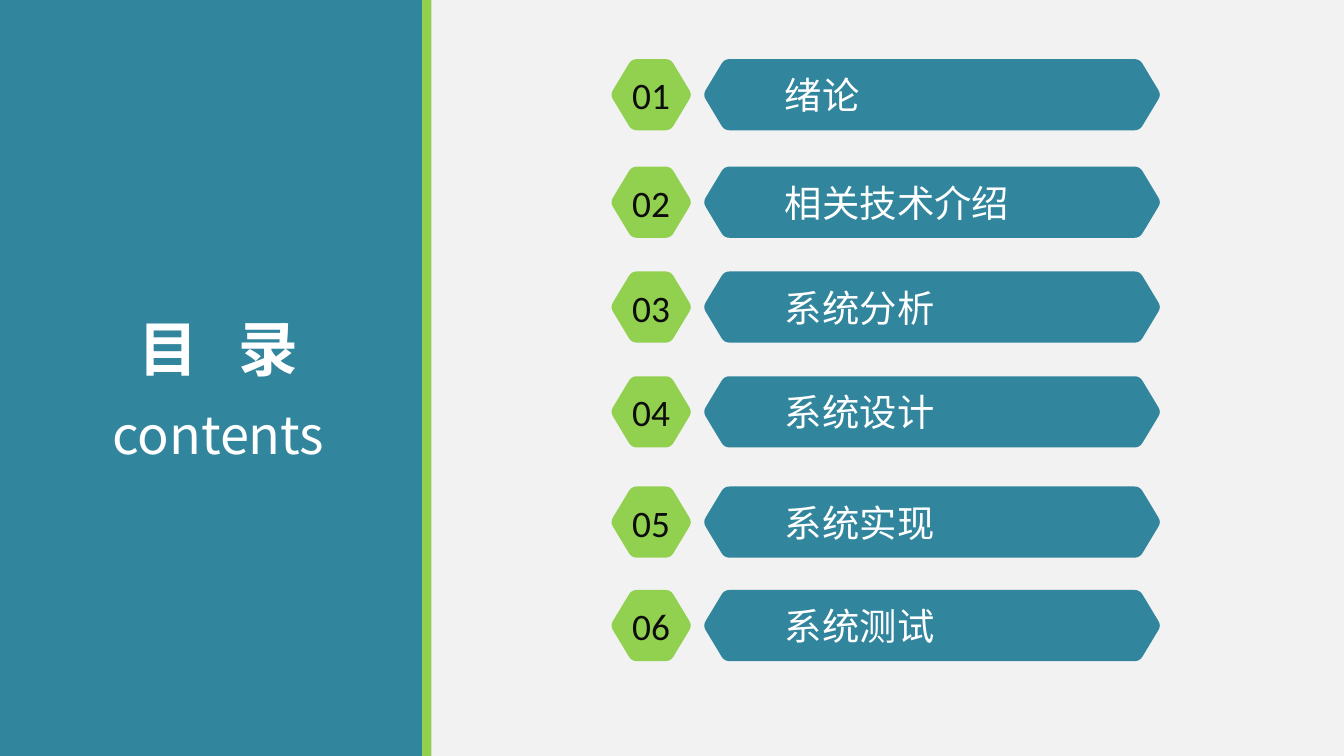
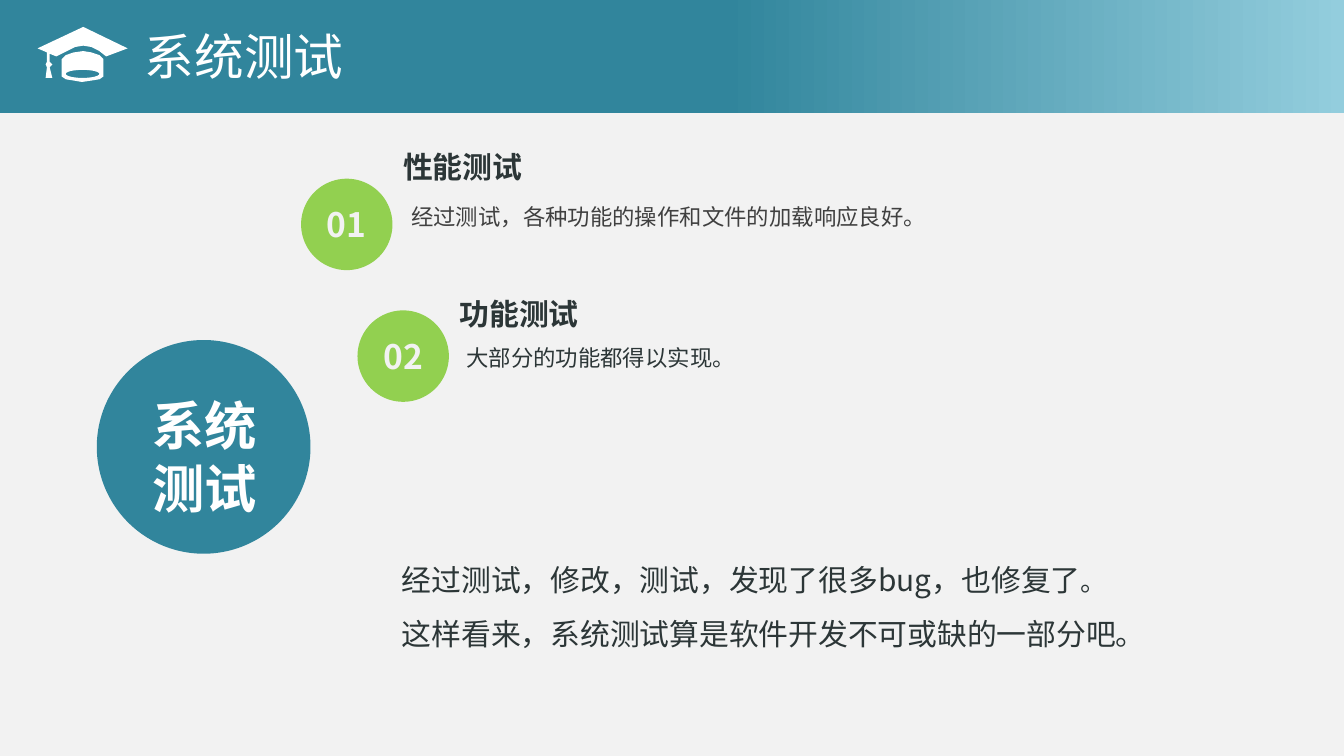
"""Build a contents slide and a system-testing slide with a shared style."""
from math import cos, pi, sin

from lxml import etree
from pptx import Presentation
from pptx.dml.color import RGBColor
from pptx.enum.shapes import MSO_SHAPE as Preset
from pptx.enum.text import MSO_ANCHOR as Anchor, MSO_AUTO_SIZE as AutoSize, PP_ALIGN as Align
from pptx.oxml.ns import qn
from pptx.util import Inches, Pt

TEAL, GREEN, PALE, WHITE = "31859C", "92D050", "F2F2F2", "FFFFFF"
INK, BLACK, GREY, SKY = "2C3637", "0D0D0D", "404040", "93CDDD"
SANS, DIGITS = "Noto Sans CJK SC", "Calibri"
TIGHT = (0.07, 0.04, 0.07, 0.04)


def paint(shape, color):
    shape.shadow.inherit = False
    shape.fill.solid()
    shape.fill.fore_color.rgb = RGBColor.from_string(color)
    shape.line.fill.background()
    return shape


def write(shape, lines, size, color, bold=False, font=SANS, align=Align.LEFT,
          anchor=Anchor.TOP, spacing=None, insets=(0.1, 0.05, 0.1, 0.05)):
    frame = shape.text_frame
    frame.word_wrap = True
    frame.vertical_anchor = anchor
    if anchor == Anchor.TOP:
        frame.auto_size = AutoSize.SHAPE_TO_FIT_TEXT
    frame.margin_left, frame.margin_top, frame.margin_right, frame.margin_bottom = map(Inches, insets)
    frame.text = "\n".join(lines)
    for paragraph in frame.paragraphs:
        paragraph.alignment = align
        paragraph.line_spacing = spacing
        paragraph.font.size = Pt(size)
        paragraph.font.bold = bold
        paragraph.font.color.rgb = RGBColor.from_string(color)
        paragraph.font.name = font
        etree.SubElement(paragraph.font._rPr, qn("a:ea"), typeface=font)
    return frame.paragraphs


deck = Presentation()
deck.slide_width, deck.slide_height = Inches(10), Inches(5.625)
contents, testing = [deck.slides.add_slide(deck.slide_layouts[6]) for _ in range(2)]
for slide in (contents, testing):
    slide.background.fill.solid()
    slide.background.fill.fore_color.rgb = RGBColor.from_string(PALE)

for left, width, color in [(0.1, 3.11, GREEN), (0, 3.14, TEAL)]:
    panel = contents.shapes.add_shape(Preset.RECTANGLE, Inches(left), 0, Inches(width), deck.slide_height)
    paint(panel, color)

heading = contents.shapes.add_textbox(Inches(0.22), Inches(2.11), Inches(2.81), Inches(1.41))
chinese, english = write(heading, ["目 ", "contents"], 32, WHITE, True, align=Align.CENTER, spacing=1.3)
chinese.runs[0].font._rPr.set("spc", "720")
chinese.add_run().text = "录"
english.font.size = Pt(28)
english.font.bold = False

chapters = ["绪论", "相关技术介绍", "系统分析", "系统设计", "系统实现", "系统测试"]
tops = [0.44, 1.24, 2.02, 2.8, 3.62, 4.39]
for number, (chapter, top) in enumerate(zip(chapters, tops), 1):
    for left, right, color in [(4.54, 5.15, GREEN), (5.23, 8.64, TEAL)]:
        middle, bottom = top + 0.265, top + 0.53
        corners = [(left, middle), (left + 0.16, top), (right - 0.16, top),
                   (right, middle), (right - 0.16, bottom), (left + 0.16, bottom)]
        outline = []
        for i, (x, y) in enumerate(corners):
            ends = []
            for nx, ny in (corners[i - 1], corners[(i + 1) % 6]):
                cut = 0.04 / ((nx - x) ** 2 + (ny - y) ** 2) ** 0.5
                ends.append((x + (nx - x) * cut, y + (ny - y) * cut))
            (ax, ay), (bx, by) = ends
            for t in (0, 0.25, 0.5, 0.75, 1):
                a, c, b = (1 - t) ** 2, 2 * t * (1 - t), t * t
                outline.append((Inches(a * ax + c * x + b * bx), Inches(a * ay + c * y + b * by)))
        builder = contents.shapes.build_freeform(*outline[0])
        builder.add_line_segments(outline[1:], close=True)
        plate = paint(builder.convert_to_shape(), color)
        if color == GREEN:
            write(plate, [f"{number:02}"], 20, BLACK, font=DIGITS, align=Align.CENTER, anchor=Anchor.MIDDLE)
        else:
            write(plate, [chapter], 20, WHITE, anchor=Anchor.MIDDLE, insets=(0.6, 0.05, 0.1, 0.05))

band = testing.shapes.add_shape(Preset.RECTANGLE, 0, 0, deck.slide_width, Inches(0.84))
paint(band, TEAL)
band.fill.gradient()
band.fill.gradient_angle = 180
for stop, position, color in zip(band.fill.gradient_stops, (0, 0.46), (SKY, TEAL)):
    stop.position = position
    stop.color.rgb = RGBColor.from_string(color)

title = testing.shapes.add_textbox(Inches(0.98), Inches(0.14), Inches(4.22), Inches(0.55))
write(title, ["系统测试"], 26.6, WHITE)

board = [(0.79, 0.42), (0.74, 0.38), (0.68, 0.35), (0.62, 0.34), (0.56, 0.35), (0.5, 0.38), (0.42, 0.42),
         (0.37, 0.4), (0.37, 0.46), (0.39, 0.48), (0.37, 0.5), (0.39, 0.58), (0.34, 0.58), (0.35, 0.5),
         (0.34, 0.48), (0.35, 0.46), (0.35, 0.39), (0.28, 0.36), (0.62, 0.2), (0.95, 0.36)]
crown = [(0.46, 0.44), (0.49, 0.41), (0.55, 0.39), (0.62, 0.38), (0.68, 0.39), (0.74, 0.41), (0.77, 0.44),
         (0.77, 0.57), (0.74, 0.59), (0.68, 0.6), (0.61, 0.61), (0.55, 0.6), (0.49, 0.59), (0.46, 0.57)]
opening = [(0.615 + 0.125 * cos(k * pi / 12), 0.55 - 0.03 * sin(k * pi / 12)) for k in range(24)]
builder = testing.shapes.build_freeform(Inches(0.79), Inches(0.42))
for contour in (board, crown, opening):
    points = [(Inches(x), Inches(y)) for x, y in contour]
    builder.move_to(*points[0])
    builder.add_line_segments(points[1:], close=True)
paint(builder.convert_to_shape(), WHITE)

hub = testing.shapes.add_shape(Preset.OVAL, Inches(0.72), Inches(2.53), Inches(1.59), Inches(1.59))
paint(hub, TEAL)
hub_label = testing.shapes.add_textbox(Inches(0.89), Inches(2.88), Inches(1.26), Inches(1.04))
write(hub_label, ["系统测试"], 28, WHITE, True, align=Align.CENTER)

results = [
    ("01", 2.24, 1.33, "性能测试", 2.93, 1.07, "经过测试，各种功能的操作和文件的加载响应良好。", 2.99, 1.37, GREY),
    ("02", 2.66, 2.31, "功能测试", 3.35, 2.16, "大部分的功能都得以实现。", 3.4, 2.42, INK),
]
for number, x, y, name, name_x, name_y, detail, detail_x, detail_y, color in results:
    badge = testing.shapes.add_shape(Preset.OVAL, Inches(x), Inches(y), Inches(0.68), Inches(0.68))
    write(paint(badge, GREEN), [number], 18, PALE, True, align=Align.CENTER,
          anchor=Anchor.MIDDLE, insets=(0, 0.05, 0, 0.05))
    name_box = testing.shapes.add_textbox(Inches(name_x), Inches(name_y), Inches(2.27), Inches(0.34))
    write(name_box, [name], 16, INK, True, insets=TIGHT)
    detail_box = testing.shapes.add_textbox(Inches(detail_x), Inches(detail_y), Inches(6.03), Inches(0.38))
    write(detail_box, [detail], 12, color, spacing=1.5, insets=TIGHT)

summary = testing.shapes.add_textbox(Inches(2.92), Inches(4.01), Inches(6.03), Inches(0.88))
findings = ["经过测试，修改，测试，发现了很多bug，也修复了", "这样看来，系统测试算是软件开发不可或缺的一部分吧。"]
first, _ = write(summary, findings, 16, INK, spacing=1.5, insets=TIGHT)
full_stop = first.add_run()
full_stop.text = "。"
full_stop.font.size = Pt(14)

deck.save("out.pptx")
